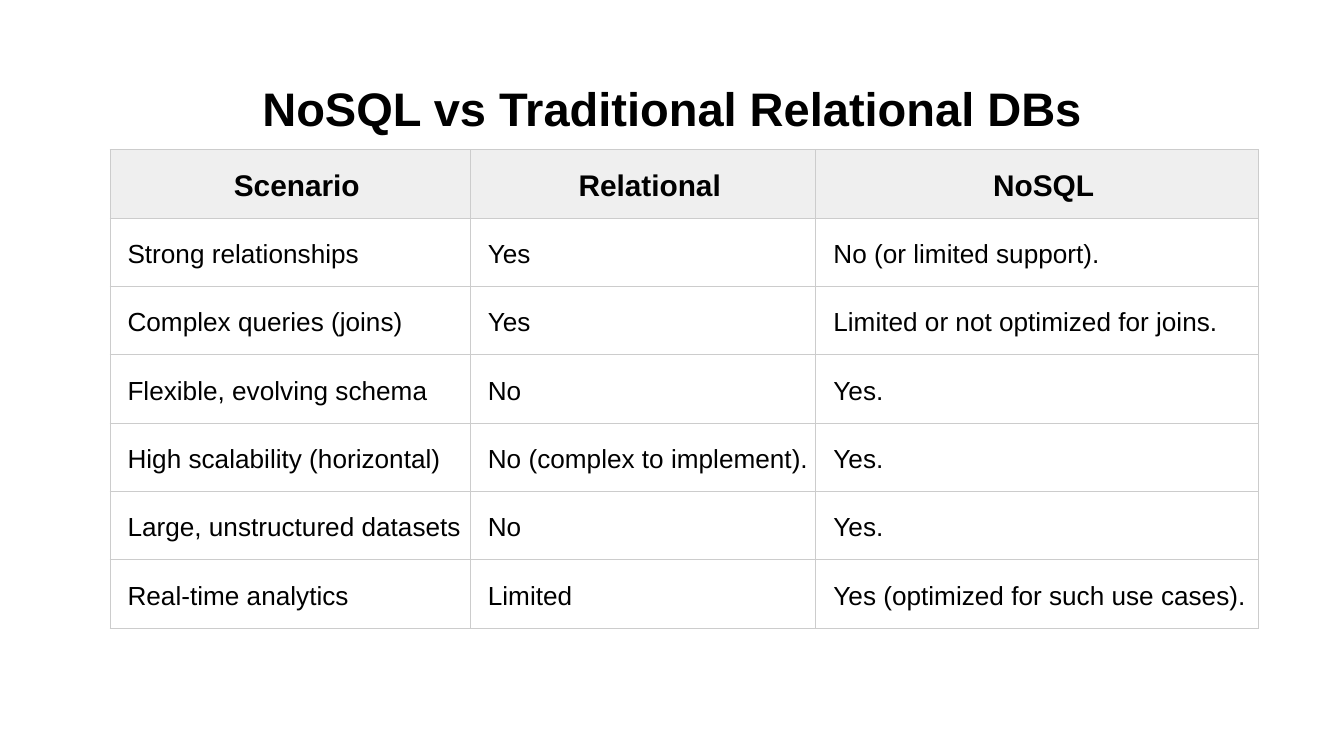
from dataclasses import dataclass

from lxml.etree import SubElement
from pptx import Presentation
from pptx.dml.color import RGBColor
from pptx.enum.text import MSO_ANCHOR, PP_ALIGN
from pptx.oxml.ns import qn
from pptx.util import Cm, Pt


@dataclass(frozen=True)
class Theme:
    font: str = "Arial"
    ink: str = "000000"
    header_fill: str = "EFEFEF"
    border: str = "CCCCCC"
    border_width: float = 0.6
    title_size: float = 25.2
    header_size: float = 16
    body_size: float = 14


@dataclass(frozen=True)
class Column:
    heading: str
    width: float


@dataclass(frozen=True)
class Comparison:
    scenario: str
    relational: str
    nosql: str

    def texts(self) -> tuple[str, str, str]:
        return self.scenario, self.relational, self.nosql


THEME = Theme()
TABLE_LEFT, TABLE_TOP, TABLE_HEIGHT = Cm(2.08), Cm(2.83), Cm(9.05)

COLUMNS = [
    Column("Scenario", 6.81),
    Column("Relational", 6.53),
    Column("NoSQL", 8.36),
]
COMPARISONS = [
    Comparison("Strong relationships", "Yes", "No (or limited support)."),
    Comparison("Complex queries (joins)", "Yes", "Limited or not optimized for joins."),
    Comparison("Flexible, evolving schema", "No", "Yes."),
    Comparison("High scalability (horizontal)", "No (complex to implement).", "Yes."),
    Comparison("Large, unstructured datasets", "No", "Yes."),
    Comparison("Real-time analytics", "Limited", "Yes (optimized for such use cases)."),
]


def add_span(para, text: str, size: float, bold: bool) -> None:
    span = para.add_run()
    span.text = text
    span.font.name = THEME.font
    span.font.size = Pt(size)
    span.font.bold = bold
    span.font.color.rgb = RGBColor.from_string(THEME.ink)


def add_title(page, text: str) -> None:
    box = page.shapes.add_textbox(Cm(0.87), Cm(1.24), Cm(23.67), Cm(1.6))
    frame = box.text_frame
    frame.word_wrap = True
    frame.vertical_anchor = MSO_ANCHOR.MIDDLE
    frame.margin_left = frame.margin_right = Cm(0.25)
    frame.margin_top = frame.margin_bottom = Cm(0.25)
    para = frame.paragraphs[0]
    para.alignment = PP_ALIGN.CENTER
    add_span(para, text, THEME.title_size, True)


def set_borders(cell) -> None:
    properties = cell._tc.get_or_add_tcPr()
    # Border lines must come before the cell's fill
    for position, side in enumerate(("a:lnL", "a:lnR", "a:lnT", "a:lnB")):
        line = SubElement(properties, qn(side), w=str(Pt(THEME.border_width)))
        SubElement(SubElement(line, qn("a:solidFill")), qn("a:srgbClr"), val=THEME.border)
        properties.insert(position, line)


def fill_cell(cell, text: str, is_header: bool) -> None:
    cell.vertical_anchor = MSO_ANCHOR.MIDDLE
    cell.margin_left = cell.margin_right = Cm(0.08)
    cell.margin_top = cell.margin_bottom = Cm(0.05)
    if is_header:
        cell.fill.solid()
        cell.fill.fore_color.rgb = RGBColor.from_string(THEME.header_fill)
    else:
        cell.fill.background()
    set_borders(cell)

    para = cell.text_frame.paragraphs[0]
    para.alignment = PP_ALIGN.CENTER if is_header else PP_ALIGN.LEFT
    para.line_spacing = 1.15
    indent = para._p.get_or_add_pPr()
    indent.set("marL", str(Cm(0.25)))
    indent.set("indent", "0")
    add_span(para, text, THEME.header_size if is_header else THEME.body_size, is_header)


def add_comparison_table(page, columns: list[Column], comparisons: list[Comparison]) -> None:
    rows = [tuple(column.heading for column in columns)]
    rows += [comparison.texts() for comparison in comparisons]
    width = Cm(sum(column.width for column in columns))
    table = page.shapes.add_table(
        len(rows), len(columns), TABLE_LEFT, TABLE_TOP, width, TABLE_HEIGHT
    ).table
    table.horz_banding = False
    for table_column, column in zip(table.columns, columns):
        table_column.width = Cm(column.width)
    for row_index, texts in enumerate(rows):
        for column_index, text in enumerate(texts):
            fill_cell(table.cell(row_index, column_index), text, row_index == 0)


def main() -> None:
    deck = Presentation()
    deck.slide_width, deck.slide_height = Cm(25.4), Cm(14.29)
    page = deck.slides.add_slide(deck.slide_layouts[6])

    # Heading
    add_title(page, "NoSQL vs Traditional Relational DBs")

    # Scenario comparison
    add_comparison_table(page, COLUMNS, COMPARISONS)

    deck.save("out.pptx")


if __name__ == "__main__":
    main()
